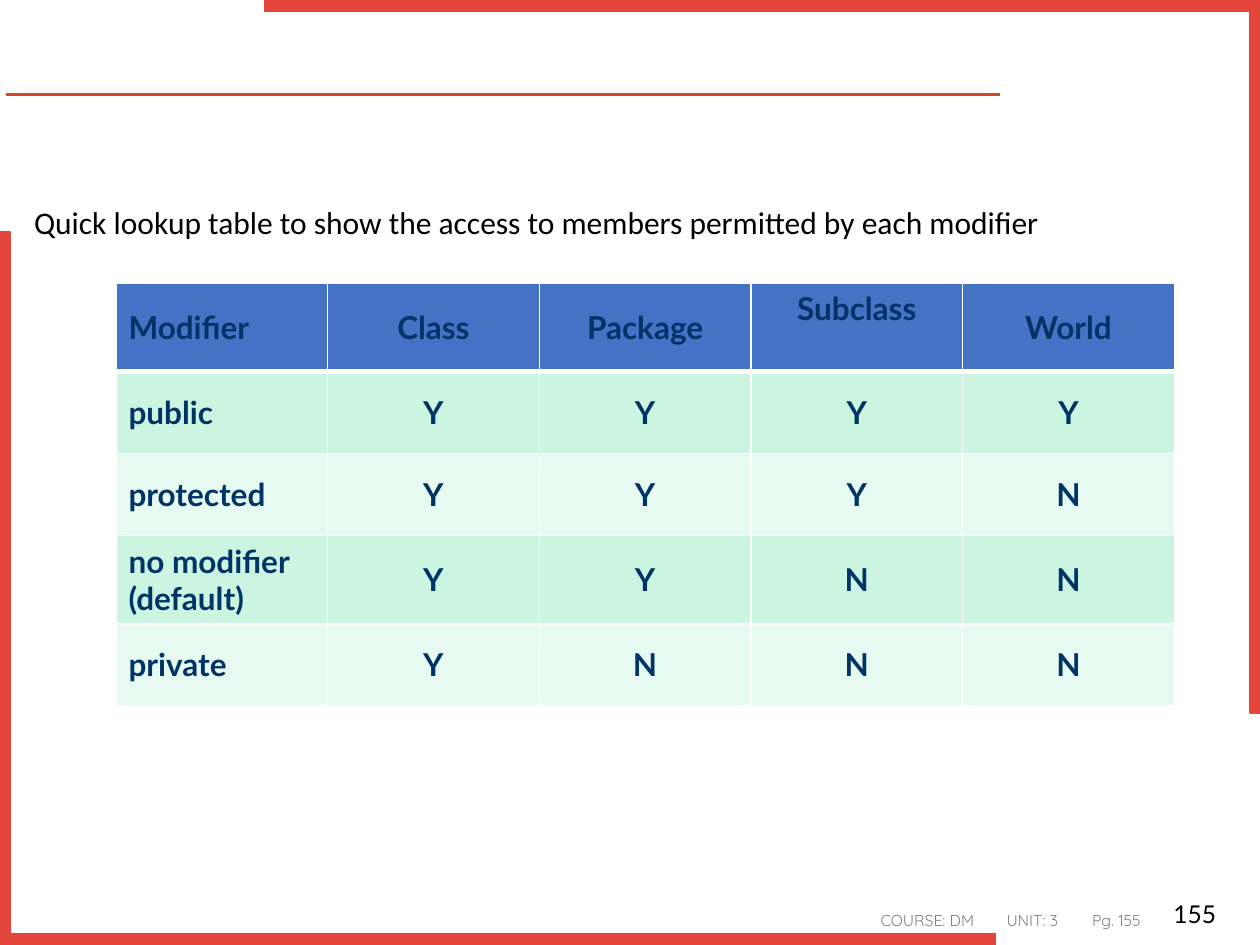
from lxml import etree
from pptx import Presentation
from pptx import util as u
from pptx.dml.color import RGBColor
from pptx.enum import shapes, text
from pptx.oxml import ns

RED = RGBColor(0xE4, 0x46, 0x3B)
RULE_RED = RGBColor(0xD2, 0x47, 0x26)
GRAY = RGBColor(0x80, 0x80, 0x80)
BLACK = RGBColor(0, 0, 0)
WHITE = RGBColor(0xFF, 0xFF, 0xFF)
NAVY = RGBColor(0x00, 0x33, 0x66)
HEADER_BLUE = RGBColor(0x44, 0x72, 0xC4)
BANDS = (RGBColor(0xE7, 0xFA, 0xF1), RGBColor(0xCB, 0xF5, 0xE1))

ACCESS = [
    ("Modifier", "Class", "Package", "Subclass\v", "World"),
    ("public", "Y", "Y", "Y", "Y"),
    ("protected", "Y", "Y", "Y", "N"),
    ("no modifier (default)", "Y", "Y", "N", "N"),
    ("private", "Y", "N", "N", "N"),
]
ROW_HEIGHTS = (0.7, 0.65, 0.65, 0.7, 0.65)
COLUMN_WIDTH = 1.68


def add_xml(parent, tag, **attributes):
    return etree.SubElement(parent, ns.qn(tag), attributes)


def write(frame, words, font="Lato", size=18, color=BLACK, bold=False,
          align=text.PP_ALIGN.LEFT):
    para = frame.paragraphs[0]
    para.text = words
    para.alignment = align
    for span in para.runs:
        span.font.name = font
        span.font.size = u.Pt(size)
        span.font.bold = bold
        span.font.color.rgb = color
    return para


def draw_border(cell, side, points):
    line = add_xml(cell._tc.get_or_add_tcPr(), f"a:ln{side}", w=str(u.Pt(points)))
    add_xml(add_xml(line, "a:solidFill"), "a:srgbClr", val=str(WHITE))


class SlideBuilder:
    def __init__(self, deck):
        self.slide = deck.slides.add_slide(deck.slide_layouts[1])
        title = self.slide.shapes.title
        title.element.getparent().remove(title.element)

    def rule(self, left, right, top):
        line = self.slide.shapes.add_connector(
            shapes.MSO_CONNECTOR.STRAIGHT,
            u.Inches(left), u.Inches(top), u.Inches(right), u.Inches(top))
        line.line.color.rgb = RULE_RED
        line.line.width = u.Pt(2)
        add_xml(line._element.spPr, "a:effectLst")

    def corner(self, left, top, rotation=0):
        frame = self.slide.shapes.add_shape(
            shapes.MSO_SHAPE.CORNER,
            u.Inches(left), u.Inches(top), u.Inches(7.9), u.Inches(5.66))
        frame.adjustments[0] = 0.016
        frame.adjustments[1] = 0.014
        frame.rotation = rotation
        frame.shadow.inherit = False
        frame.fill.solid()
        frame.fill.fore_color.rgb = RED
        frame.line.color.rgb = RED
        frame.line.width = u.Pt(1)

    def label(self, words, left, top, width, height,
              anchor=text.MSO_ANCHOR.TOP, **style):
        box = self.slide.shapes.add_textbox(
            u.Inches(left), u.Inches(top), u.Inches(width), u.Inches(height))
        box.text_frame.word_wrap = True
        box.text_frame.vertical_anchor = anchor
        return write(box.text_frame, words, **style)

    def body(self, words, left, top, width, height):
        box = self.slide.placeholders[1]
        box.left, box.top = u.Inches(left), u.Inches(top)
        box.width, box.height = u.Inches(width), u.Inches(height)
        para = write(box.text_frame, words, font="Calibri")
        para.line_spacing = 1.2
        para.space_before = u.Pt(7.5)
        para.space_after = u.Pt(9)
        properties = para._p.get_or_add_pPr()
        properties.set("marL", "0")
        properties.set("indent", "0")
        add_xml(properties, "a:buNone")

    def table(self, rows, left, top):
        columns = len(rows[0])
        grid = self.slide.shapes.add_table(
            len(rows), columns, u.Inches(left), u.Inches(top),
            u.Inches(COLUMN_WIDTH * columns), u.Inches(sum(ROW_HEIGHTS))).table
        for column in grid.columns:
            column.width = u.Inches(COLUMN_WIDTH)
        for r, values in enumerate(rows):
            grid.rows[r].height = u.Inches(ROW_HEIGHTS[r])
            for c, value in enumerate(values):
                self.cell(grid.cell(r, c), value, r, c)

    def cell(self, cell, value, row, column):
        widths = {"L": 1, "R": 1, "T": 3 if row == 1 else 1, "B": 3 if row == 0 else 1}
        for side, points in widths.items():
            draw_border(cell, side, points)
        cell.fill.solid()
        cell.fill.fore_color.rgb = BANDS[row % 2] if row else HEADER_BLUE
        cell.vertical_anchor = text.MSO_ANCHOR.MIDDLE
        align = text.PP_ALIGN.CENTER if column else text.PP_ALIGN.LEFT
        write(cell.text_frame, value, color=NAVY, bold=True, align=align)


def main():
    deck = Presentation()
    deck.slide_width, deck.slide_height = u.Inches(10), u.Inches(7.5)
    page = SlideBuilder(deck)

    page.rule(0.05, 7.94, 0.75)
    page.corner(2.1, 0, rotation=180)
    page.corner(0, 1.84)

    footer = page.label("COURSE: DM\tUNIT: 3\tPg. 155", 6.89, 7.18, 2.5, 0.22,
                        font="Quicksand", size=9, color=GRAY)
    footer.space_after = u.Pt(6)
    stops = add_xml(footer._p.get_or_add_pPr(), "a:tabLst")
    for position in (1, 1.68):
        add_xml(stops, "a:tab", pos=str(u.Inches(position)), algn="l")

    page.body("Quick lookup table to show the access to members permitted by each modifier",
              0.17, 1.5, 9.58, 5.21)
    page.label("155", 7.67, 6.92, 2.08, 0.5, anchor=text.MSO_ANCHOR.BOTTOM,
               size=14, align=text.PP_ALIGN.RIGHT)
    page.table(ACCESS, 0.92, 2.25)

    deck.save("out.pptx")


if __name__ == "__main__":
    main()
